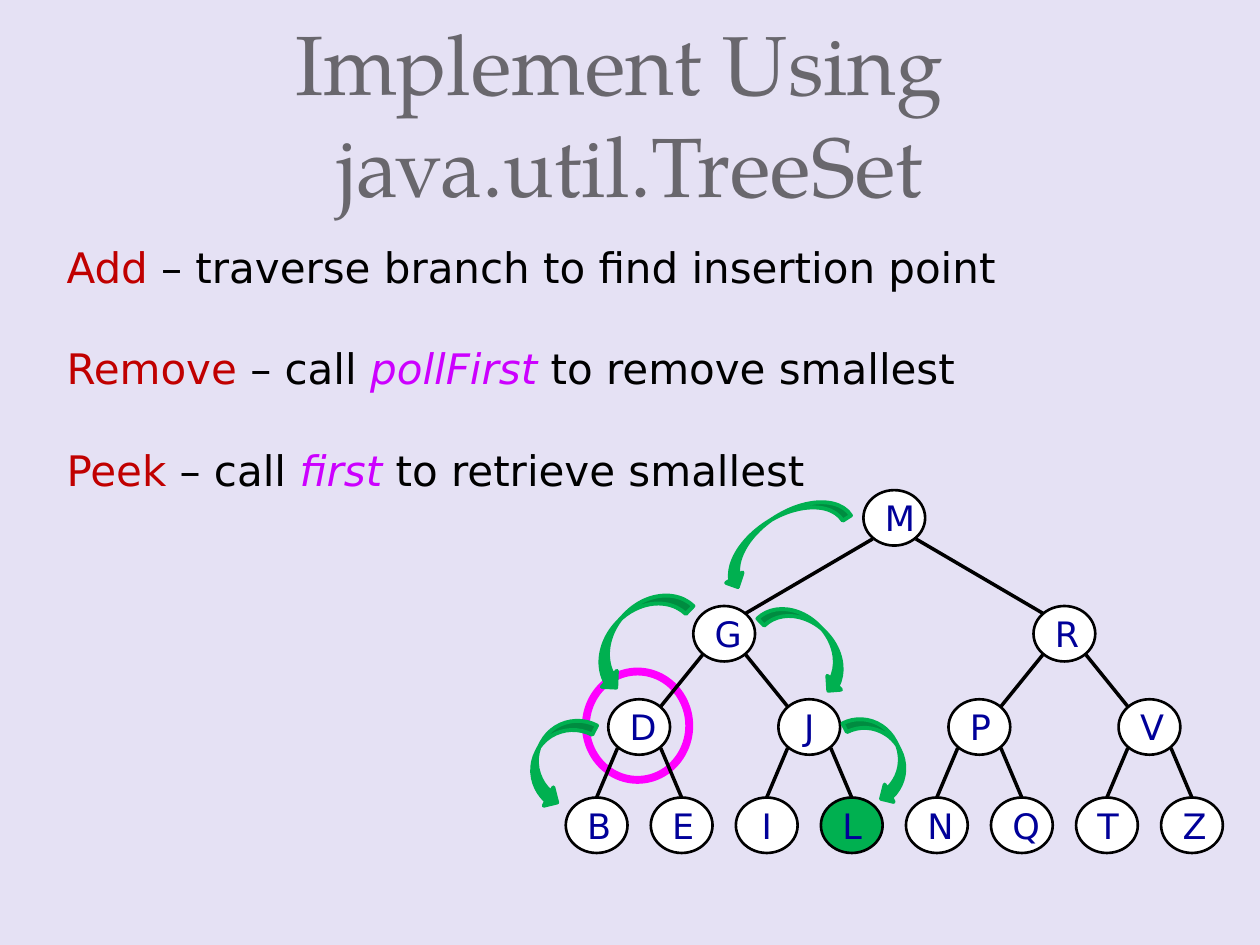
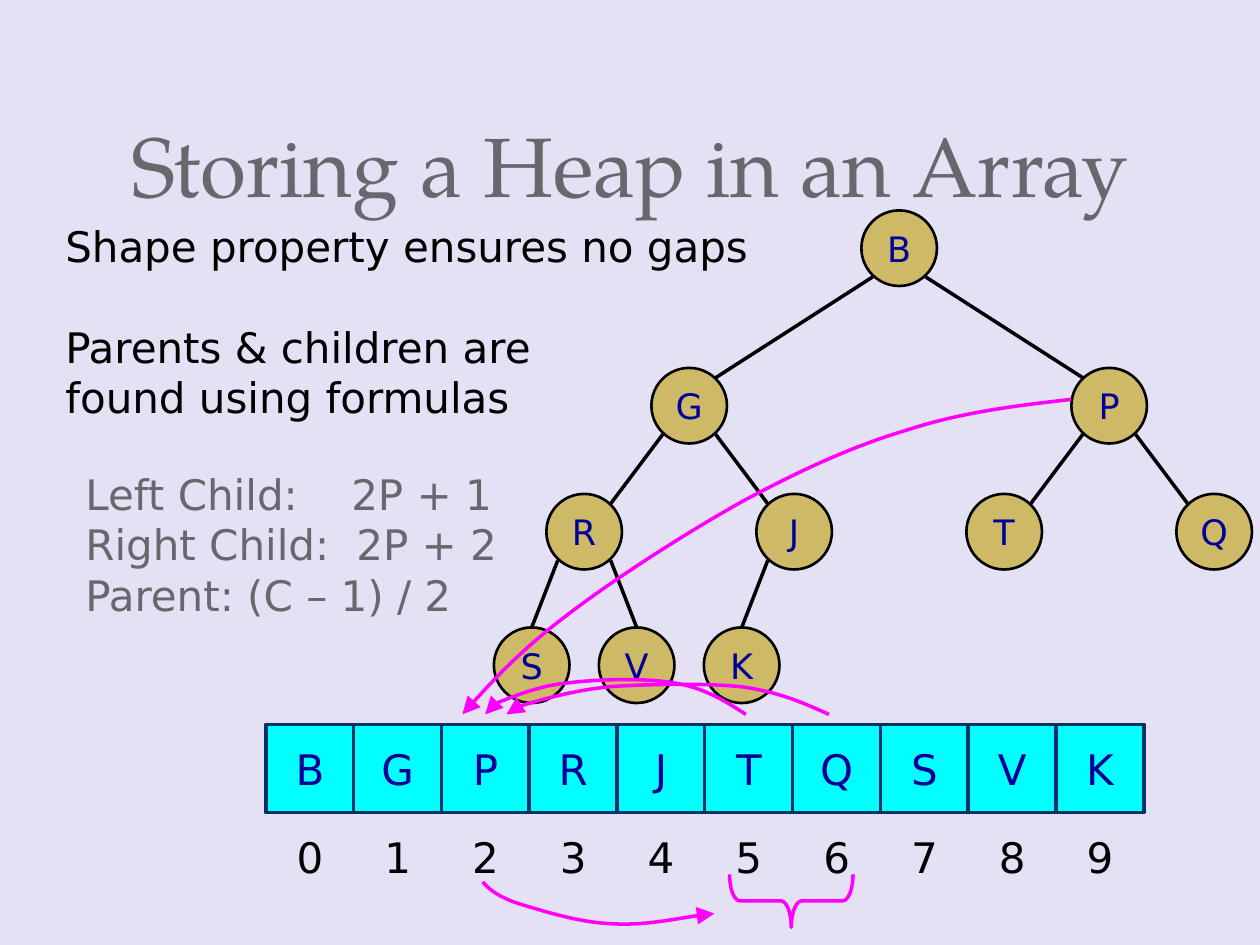
"""Build two slides on priority queues: a search tree and a heap stored in an array."""
from dataclasses import dataclass

from lxml.etree import SubElement
from pptx import Presentation
from pptx.dml.color import RGBColor
from pptx.enum.shapes import MSO_CONNECTOR, MSO_SHAPE
from pptx.enum.text import MSO_ANCHOR, MSO_AUTO_SIZE, PP_ALIGN
from pptx.oxml.ns import qn
from pptx.util import Inches, Pt


@dataclass(frozen=True)
class Theme:
    background: str = "E5E1F4"
    heading: str = "69676D"
    ink: str = "000000"
    term: str = "C00000"
    method: str = "CC00FF"
    letter: str = "000099"
    node: str = "FFFFFF"
    heap_node: str = "CEB966"
    step: str = "00B050"
    mark: str = "FF00FF"
    cell: str = "00FFFF"
    cell_border: str = "003366"
    title_font: str = "TeX Gyre Pagella"
    body_font: str = "DejaVu Sans"
    title_size: int = 48
    title_leading: int = 58
    body_size: int = 24
    node_size: int = 20
    node_border: float = 1.5
    stroke: float = 2
    step_stroke: float = 2.25
    ring_stroke: float = 4.5


THEME = Theme()

TREE_SET = {
    "title": "Implement Using \vjava.util.TreeSet",
    "operations": [
        (1.87, [("Add", THEME.term), (" – traverse branch to find insertion point", THEME.ink)]),
        (2.67, [("Remove", THEME.term), (" – call ", THEME.ink),
                ("pollFirst", THEME.method), (" to remove smallest", THEME.ink)]),
        (3.48, [("Peek", THEME.term), (" – call ", THEME.ink),
                ("first", THEME.method), (" to retrieve smallest", THEME.ink)]),
    ],
    "tree": {
        "letters": "MGRDJPVBEILNQTZ", "levels": (3.89, 4.81, 5.55, 6.33),
        "left": 4.49, "pitch": 2.7 / 4, "node": (0.49, 0.44),
        "fill": THEME.node, "found": "L",
    },
    "ring": (4.65, 5.33, 0.82, 0.86),
    "steps_behind": [
        ((5.62, 4.11, 1.14, 0.31), 327.7, True),
        ((5.99, 4.96, 0.88, 0.31), 45.5, False),
        ((4.55, 4.87, 0.98, 0.35), 313.4, True),
    ],
    "steps_in_front": [
        ((6.62, 5.85, 0.75, 0.31), 62.9, False),
        ((4.03, 5.86, 0.77, 0.33), 297.4, True),
    ],
}

HEAP = {
    "title": "Storing a Heap in an Array",
    "tree": {
        "letters": "BGPRJTQSVK", "levels": (1.67, 2.92, 3.92, 4.98),
        "left": 3.92, "pitch": 5 / 6, "node": (0.6, 0.6),
        "fill": THEME.heap_node, "found": "",
    },
    "array": {"left": 2.11, "top": 5.75, "pitch": 6.27 / 9, "side": 0.7},
    "brace": (6.07, 6.66, 0.42, 0.98),
    "arrows": [
        [(8.5, 3.17), (8.07, 3.22), (7.64, 3.27), (7.21, 3.41),
         (6.77, 3.54), (6.36, 3.73), (5.91, 3.97),
         (5.46, 4.22), (4.9, 4.58), (4.53, 4.86),
         (4.16, 5.14), (3.91, 5.4), (3.67, 5.67)],
        [(3.83, 7), (3.89, 7.06), (3.94, 7.11), (4.11, 7.17),
         (4.28, 7.22), (4.58, 7.32), (4.84, 7.33),
         (5.1, 7.35), (5.53, 7.26), (5.67, 7.25)],
        [(5.92, 5.67), (5.75, 5.56), (5.59, 5.46), (5.35, 5.42),
         (5.12, 5.38), (4.74, 5.39), (4.51, 5.42),
         (4.27, 5.44), (4.05, 5.54), (3.94, 5.58),
         (3.83, 5.62), (3.84, 5.65), (3.85, 5.67)],
        [(6.58, 5.67), (6.38, 5.58), (6.18, 5.49), (5.88, 5.45),
         (5.59, 5.42), (5.13, 5.43), (4.84, 5.45),
         (4.54, 5.48), (4.27, 5.56), (4.14, 5.6),
         (4, 5.63), (4.01, 5.65), (4.02, 5.67)],
    ],
    "notes": [
        ((0.42, 1.7, 5.66, 0.5), [[("Shape property ensures no gaps", THEME.ink)]], ()),
        ((0.42, 2.5, 4.51, 0.9), [[("Parents & children are found using formulas", THEME.ink)]], ()),
        ((0.58, 3.67, 4.5, 1.3), [[("Left Child:\t2P + 1", THEME.heading)],
                                  [("Right Child:\t2P + 2", THEME.heading)],
                                  [("Parent: (C – 1) / 2", THEME.heading)]], (2.11, 2.15)),
    ],
}


def inches(box):
    return [Inches(length) for length in box]


def set_font(run, size, color, font=THEME.body_font):
    run.font.name = font
    run.font.size = Pt(size)
    run.font.color.rgb = RGBColor.from_string(color)


def set_line(line, color, width):
    line.color.rgb = RGBColor.from_string(color)
    line.width = Pt(width)


def add_titled_slide(deck, title):
    slide = deck.slides.add_slide(deck.slide_layouts[5])
    heading = slide.shapes.title
    heading.left, heading.top, heading.width, heading.height = inches((0.5, 0, 9, 1.75))
    frame = heading.text_frame
    frame.auto_size = MSO_AUTO_SIZE.NONE
    frame.vertical_anchor = MSO_ANCHOR.BOTTOM
    paragraph = frame.paragraphs[0]
    paragraph.text = title
    paragraph.alignment = PP_ALIGN.CENTER
    paragraph.line_spacing = Pt(THEME.title_leading)
    for run in paragraph.runs:
        set_font(run, THEME.title_size, THEME.heading, THEME.title_font)
    return slide


def add_text(slide, box, lines, tabs=()):
    frame = slide.shapes.add_textbox(*inches(box)).text_frame
    frame.word_wrap = True
    for number, parts in enumerate(lines):
        paragraph = frame.add_paragraph() if number else frame.paragraphs[0]
        if number < len(tabs):
            stops = SubElement(paragraph._p.get_or_add_pPr(), qn("a:tabLst"))
            SubElement(stops, qn("a:tab"), pos=str(Inches(tabs[number])), algn="l")
        for words, color in parts:
            run = paragraph.add_run()
            run.text = words
            set_font(run, THEME.body_size, color)
            run.font.italic = color == THEME.method


def center_text(shape, words, size, color):
    frame = shape.text_frame
    frame.word_wrap = True
    frame.vertical_anchor = MSO_ANCHOR.MIDDLE
    paragraph = frame.paragraphs[0]
    paragraph.text = words
    paragraph.alignment = PP_ALIGN.CENTER
    set_font(paragraph.runs[0], size, color)


def add_outline(slide, preset, box, fill, color, width):
    shape = slide.shapes.add_shape(preset, *inches(box))
    shape.shadow.inherit = False
    if fill:
        shape.fill.solid()
        shape.fill.fore_color.rgb = RGBColor.from_string(fill)
    else:
        shape.fill.background()
    set_line(shape.line, color, width)
    return shape


def add_tree(slide, tree):
    width, height = tree["node"]
    levels = tree["levels"]
    places = []
    for index, letter in enumerate(tree["letters"]):
        level = (index + 1).bit_length() - 1
        slot = index + 1 - 2 ** level
        leaves = 2 ** (len(levels) - 1 - level)
        left = tree["left"] + tree["pitch"] * ((slot + 0.5) * leaves - 0.5)
        places.append((left + width / 2, levels[level], leaves == 1))
        fill = THEME.step if letter == tree["found"] else tree["fill"]
        node = add_outline(slide, MSO_SHAPE.OVAL, (left, levels[level], width, height),
                           fill, THEME.ink, THEME.node_border)
        center_text(node, letter, THEME.node_size, THEME.letter)
    for index, (center, top, is_leaf) in enumerate(places[1:], 1):
        parent_center, parent_top, _ = places[(index - 1) // 2]
        reach = 0.35 * width * (-1 if index % 2 else 1)
        start = (parent_center + reach, parent_top + 0.88 * height)
        end = (center, top) if is_leaf else (center - reach, top + 0.13 * height)
        edge = slide.shapes.add_connector(MSO_CONNECTOR.STRAIGHT, *inches(start + end))
        set_line(edge.line, THEME.ink, THEME.stroke)
        SubElement(edge._element.spPr, qn("a:effectLst"))


def add_steps(slide, steps):
    for box, rotation, mirrored in steps:
        step = add_outline(slide, MSO_SHAPE.CURVED_DOWN_ARROW, box,
                           THEME.step, THEME.step, THEME.step_stroke)
        step.rotation = rotation
        if mirrored:
            step._element.spPr.find(qn("a:xfrm")).set("flipH", "1")


def add_curved_arrow(slide, knots):
    start, *rest = [inches(knot) for knot in knots]
    builder = slide.shapes.build_freeform(*start)
    builder.add_line_segments(rest, close=False)
    arrow = builder.convert_to_shape()
    segments = list(arrow._element.iter(qn("a:lnTo")))
    outline = segments[0].getparent()
    for first in range(0, len(segments), 3):
        curve = SubElement(outline, qn("a:cubicBezTo"))
        for segment in segments[first:first + 3]:
            curve.append(segment[0])
            outline.remove(segment)
    arrow.shadow.inherit = False
    arrow.fill.background()
    set_line(arrow.line, THEME.mark, THEME.stroke)
    SubElement(arrow.line._get_or_add_ln(), qn("a:tailEnd"), type="triangle", w="lg", len="lg")


def add_array(slide, array, letters):
    side = array["side"]
    for index, letter in enumerate(letters):
        left = array["left"] + index * array["pitch"]
        cell = add_outline(slide, MSO_SHAPE.RECTANGLE, (left, array["top"], side, side),
                           THEME.cell, THEME.cell_border, THEME.stroke)
        center_text(cell, letter, THEME.body_size, THEME.letter)
        label = slide.shapes.add_textbox(*inches((left, array["top"] + side, side, side)))
        center_text(label, str(index), THEME.body_size, THEME.ink)


def build_tree_set(deck):
    slide = add_titled_slide(deck, TREE_SET["title"])
    for top, parts in TREE_SET["operations"]:
        add_text(slide, (0.43, top, 8, 0.5), [parts])
    add_outline(slide, MSO_SHAPE.OVAL, TREE_SET["ring"], None, THEME.mark, THEME.ring_stroke)
    add_steps(slide, TREE_SET["steps_behind"])
    add_tree(slide, TREE_SET["tree"])
    add_steps(slide, TREE_SET["steps_in_front"])


def build_heap(deck):
    slide = add_titled_slide(deck, HEAP["title"])
    add_tree(slide, HEAP["tree"])
    add_array(slide, HEAP["array"], HEAP["tree"]["letters"])
    brace = add_outline(slide, MSO_SHAPE.LEFT_BRACE, HEAP["brace"], None, THEME.mark, THEME.stroke)
    brace.rotation = 270
    brace.adjustments[0] = 0.195
    for knots in HEAP["arrows"]:
        add_curved_arrow(slide, knots)
    for box, lines, tabs in HEAP["notes"]:
        add_text(slide, box, lines, tabs)


deck = Presentation()
deck.slide_width, deck.slide_height = Inches(10), Inches(7.5)
backdrop = deck.slide_master.background.fill
backdrop.solid()
backdrop.fore_color.rgb = RGBColor.from_string(THEME.background)
build_tree_set(deck)
build_heap(deck)
deck.save("out.pptx")
